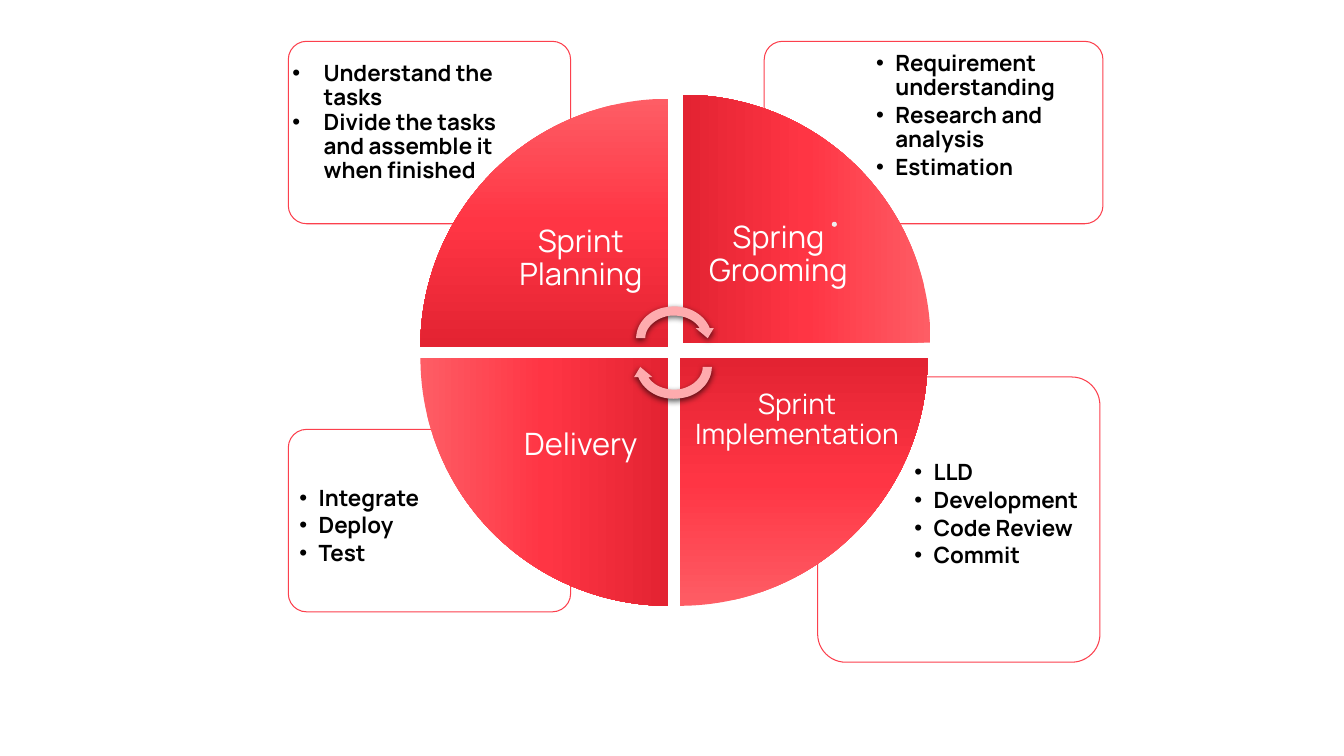
from pptx import Presentation
from pptx.dml.color import RGBColor as RGB
from pptx.enum.shapes import MSO_SHAPE as Shape
from pptx.enum.text import MSO_ANCHOR as Anchor, PP_ALIGN as Align
from pptx.oxml import parse_xml
from pptx.oxml.ns import nsdecls, qn
from pptx.util import Inches, Pt

FONT = "Manrope"
HEX = {"white": "FFFFFF", "black": "000000", "edge": "FC404D", "light": "FE5D65",
       "mid": "FF3544", "dark": "E32332", "arrow": "FEABAE", "dot": "EEEEEE"}

# Cards: frame, text box, inset, (indent, hang), space before, items
CARDS = [
    ((8.11, 3.74, 2.8, 2.83), (9, 4.51, 1.9, 2), 0.07, (0.19, 0.19), 2.4,
     ["LLD", "Development", "Code Review", "Commit"]),
    ((2.86, 4.26, 2.8, 1.81), (2.9, 4.76, 1.88, 1.28), 0.07, (0.19, 0.19), 2.4,
     ["Integrate", "Deploy", "Test"]),
    ((7.58, 0.41, 3.36, 1.81), (8.62, 0.45, 2.27, 1.28), 0.07, (0.19, 0.19), 2.4,
     ["Requirement understanding", "Research and analysis", "Estimation"]),
    ((2.86, 0.41, 2.8, 1.81), (2.5, 0.45, 2.97, 1.28), 0.17, (0.54, 0.31), 0,
     ["Understand the tasks", "Divide the tasks and assemble it when finished"]),
]

# Wheel, clockwise: wedge corner, label, label box, text size
SIDE = 2.46
WEDGES = [
    ((4.17, 0.98), "Sprint Planning", (4.89, 1.7, 1.74, 1.74), 22),
    ((6.77, 0.94), "Spring Grooming", (6.77, 1.66, 1.9, 1.74), 22),
    ((6.74, 3.55), "Sprint Implementation", (6.59, 3.3, 2.63, 1.74), 20),
    ((4.17, 3.55), "Delivery", (4.89, 3.55, 1.74, 1.74), 22),
]

# Curved arrow: a pair is a straight corner, a triple of pairs is a curve
START = (6.31, 3.35)
ARROW = [
    ((6.31, 3.2), (6.44, 3.06), (6.62, 3.04)),
    ((6.8, 3.01), (6.98, 3.1), (7.04, 3.25)),
    (7.08, 3.25), (7.02, 3.35), (6.9, 3.25), (6.94, 3.25),
    ((6.88, 3.15), (6.74, 3.11), (6.62, 3.13)),
    ((6.49, 3.16), (6.4, 3.25), (6.4, 3.35)),
]
TURNS = [(6.31, 3.04, 0), (6.29, 3.64, 180)]
STEPS = 16


def paint(shape, fill, line=None):
    shape.shadow.inherit = False
    if fill:
        shape.fill.solid()
        shape.fill.fore_color.rgb = RGB.from_string(HEX[fill])
    if line:
        shape.line.color.rgb = RGB.from_string(HEX[line])
        shape.line.width = Pt(0.75)
    else:
        shape.line.fill.background()


def add(kind, box, fill, line=None):
    shape = slide.shapes.add_shape(kind, *map(Inches, box))
    paint(shape, fill, line)
    return shape


def write(box, inset, items, size, color, bold=False, hang=None, gap=0):
    frame = slide.shapes.add_textbox(*map(Inches, box)).text_frame
    frame.word_wrap = True
    frame.margin_left = frame.margin_right = Inches(inset)
    frame.margin_top = frame.margin_bottom = Inches(inset)
    frame.vertical_anchor = Anchor.TOP if hang else Anchor.MIDDLE
    for i, item in enumerate(items):
        para = frame.add_paragraph() if i else frame.paragraphs[0]
        para.text = item
        para.line_spacing = 0.9
        if i and gap:
            para.space_before = Pt(gap)
        if hang:
            props = para._p.get_or_add_pPr()
            props.set("marL", str(Inches(hang[0])))
            props.set("indent", str(-Inches(hang[1])))
            props.append(parse_xml(f'<a:buFont {nsdecls("a")} typeface="Arial"/>'))
            props.append(parse_xml(f'<a:buChar {nsdecls("a")} char="•"/>'))
        else:
            para.alignment = Align.CENTER
        font = para.font
        font.name, font.size, font.bold = FONT, Pt(size), bold
        font.color.rgb = RGB.from_string(HEX[color])


def blend(shape):
    shape.fill.gradient()
    shape.fill.gradient_angle = 270
    stops = shape._element.spPr.find(qn("a:gradFill")).find(qn("a:gsLst"))
    for stop in list(stops):
        stops.remove(stop)
    for pos, name in ((0, "light"), (50, "mid"), (100, "dark")):
        stops.append(parse_xml(f'<a:gs {nsdecls("a")} pos="{pos * 1000}">'
                               f'<a:srgbClr val="{HEX[name]}"/></a:gs>'))


def outline(start, parts):
    points = [start]
    for part in parts:
        if isinstance(part[0], tuple):
            ends = (points[-1], *part)
            for t in (n / STEPS for n in range(1, STEPS + 1)):
                u = 1 - t
                mix = (u ** 3, 3 * u * u * t, 3 * u * t * t, t ** 3)
                points.append(tuple(sum(m * e[k] for m, e in zip(mix, ends))
                                    for k in (0, 1)))
        else:
            points.append(part)
    return [(Inches(x), Inches(y)) for x, y in points]


deck = Presentation()
deck.slide_width, deck.slide_height = Inches(13.33), Inches(7.5)
slide = deck.slides.add_slide(deck.slide_layouts[6])

# Cards with bullets
for frame, box, inset, hang, gap, items in CARDS:
    card = add(Shape.ROUNDED_RECTANGLE, frame, "white", "edge")
    card.adjustments[0] = 0.1
    tint = card._element.spPr.find(qn("a:solidFill"))[0]
    tint.append(parse_xml(f'<a:alpha {nsdecls("a")} val="90000"/>'))
    write(box, inset, items, 16, "black", True, hang, gap)

# Wheel quarters
for i, (corner, label, box, size) in enumerate(WEDGES):
    wedge = add(Shape.PIE_WEDGE, (*corner, SIDE, SIDE), None)
    wedge.rotation = 90 * i
    blend(wedge)
    write(box, 0.17, [label], size, "white")

# Cycle arrows in the hub
first, *rest = outline(START, ARROW)
for left, top, turn in TURNS:
    pen = slide.shapes.build_freeform(*first)
    pen.add_line_segments(rest, close=True)
    arrow = pen.convert_to_shape()
    arrow.left, arrow.top, arrow.rotation = Inches(left), Inches(top), turn
    paint(arrow, "arrow")
    arrow._element.spPr.find(qn("a:effectLst")).append(parse_xml(
        f'<a:outerShdw {nsdecls("a")} blurRad="{Pt(4.5)}" dist="{Pt(1.5)}" '
        f'dir="5400000" rotWithShape="0"><a:srgbClr val="{HEX["black"]}">'
        '<a:alpha val="63000"/></a:srgbClr></a:outerShdw>'))

# Small dot
add(Shape.OVAL, (8.25, 2.2, 0.05, 0.05), "dot")

deck.save("out.pptx")
